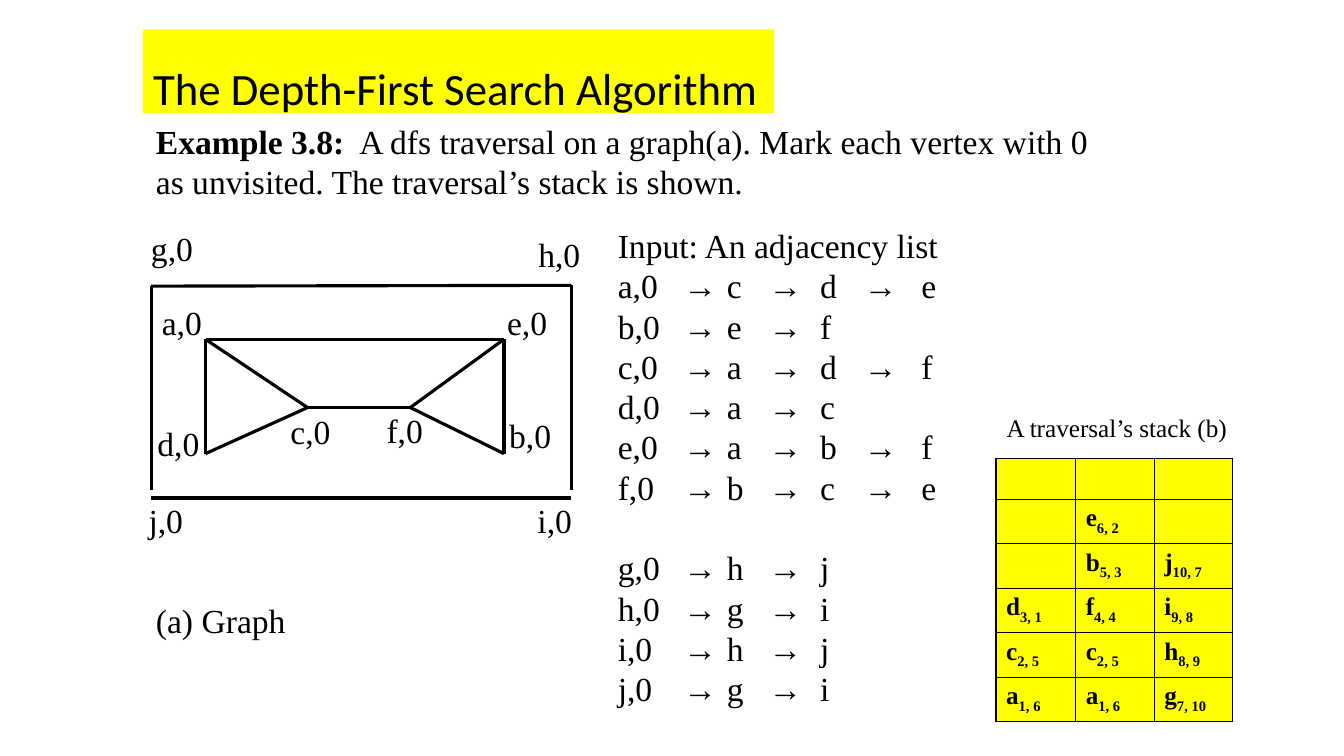
"""Build a slide that walks through a depth-first search traversal."""
from lxml.etree import SubElement
from pptx import Presentation
from pptx.dml.color import RGBColor
from pptx.enum.shapes import MSO_CONNECTOR as Connector, MSO_SHAPE as Preset
from pptx.enum.text import MSO_ANCHOR as Anchor, PP_ALIGN as Align
from pptx.oxml.ns import qn
from pptx.util import Cm, Pt

BLACK, YELLOW = "000000", "FFFF00"
SERIF = "Times New Roman"
BODY = {"name": SERIF, "size": Pt(24)}
SMALL = {"name": SERIF, "size": Pt(18)}
HEADING = {"name": "Calibri", "size": Pt(32)}
BOLD = {"bold": True}

TITLE = "The Depth-First Search Algorithm"
EXAMPLE = [
    ("Example 3.8:", BOLD),
    ("  A dfs traversal on a graph(a). Mark each vertex with 0 as unvisited. "
     "The traversal’s stack is shown.", {}),
]
GRAPH_CAPTION = "(a) Graph"
STACK_CAPTION = "A traversal’s stack (b)"
LIST_TITLE = "Input: An adjacency list"
COMPONENTS = [
    {"a": "cde", "b": "ef", "c": "adf", "d": "ac", "e": "abf", "f": "bce"},
    {"g": "hj", "h": "gi", "i": "hj", "j": "gi"},
]
STACK = [
    ["", "", ""],
    ["", "e6, 2", ""],
    ["", "b5, 3", "j10, 7"],
    ["d3, 1", "f4, 4", "i9, 8"],
    ["c2, 5", "c2, 5", "h8, 9"],
    ["a1, 6", "a1, 6", "g7, 10"],
]
POINTS = {
    "a": (5.18, 8.55), "b": (12.7, 11.43), "c": (7.75, 10.27),
    "d": (5.18, 11.43), "e": (12.7, 8.55), "f": (10.34, 10.27),
    "g": (3.81, 7.21), "h": (14.4, 7.19), "i": (14.4, 12.55),
    "j": (3.81, 12.55), "left end": (3.81, 12.34), "right end": (14.4, 12.34),
}
EDGES = [
    ("j", "i"), ("g", "h"), ("g", "left end"), ("h", "right end"),
    ("a", "e"), ("a", "d"), ("e", "b"), ("c", "f"),
    ("a", "c"), ("d", "c"), ("e", "f"), ("f", "b"),
]
LABELS = {
    "j": (3.38, 12.47, 1.6), "i": (13.28, 12.47, 1.4),
    "g": (3.51, 5.61, 1.65), "h": (13.28, 5.77, 1.63),
    "a": (3.81, 7.49, 1.55), "d": (3.68, 10.54, 1.63),
    "c": (7.01, 10.24, 1.63), "f": (9.45, 10.21, 1.5),
    "e": (12.5, 7.49, 1.57), "b": (12.52, 10.34, 1.68),
}
LABEL_HEIGHT = 1.27
LIST_TABS = [1.65, 2.75, 3.8, 5.1, 6.2, 7.65]
STACK_COLUMNS = [2.01, 1.98, 1.98]
STACK_ROW = 1.02


def color(value):
    return RGBColor.from_string(value)


def add_run(paragraph, text, *formats):
    run = paragraph.add_run()
    run.text = text
    run.font.color.rgb = color(BLACK)
    for values in formats:
        for name, value in values.items():
            setattr(run.font, name, value)
    return run


def add_text(slide, box, runs, style, align=Align.LEFT, wrap=True):
    frame = slide.shapes.add_textbox(*map(Cm, box)).text_frame
    frame.word_wrap = wrap
    paragraph = frame.paragraphs[0]
    paragraph.alignment = align
    for text, extra in runs:
        add_run(paragraph, text, style, extra)
    return frame


def add_title(slide):
    shape = slide.shapes.add_shape(Preset.RECTANGLE, *map(Cm, (3.61, 0.74, 15.9, 2.11)))
    shape.shadow.inherit = False
    shape.fill.solid()
    shape.fill.fore_color.rgb = color(YELLOW)
    shape.line.fill.background()
    frame = shape.text_frame
    frame.word_wrap = False
    frame.vertical_anchor = Anchor.TOP
    paragraph = frame.paragraphs[0]
    paragraph.alignment = Align.LEFT
    paragraph.line_spacing = 1.5
    add_run(paragraph, TITLE, HEADING)


def add_graph(slide):
    for start, end in EDGES:
        ends = map(Cm, POINTS[start] + POINTS[end])
        edge = slide.shapes.add_connector(Connector.STRAIGHT, *ends)
        edge.line.color.rgb = color(BLACK)
        edge.line.width = Pt(2.25)
        SubElement(edge._element.spPr, qn("a:effectLst"))
    for vertex, place in LABELS.items():
        add_text(slide, (*place, LABEL_HEIGHT), [(f"{vertex},0", {})], BODY, Align.CENTER)


def add_adjacency_list(slide):
    frame = add_text(slide, (15.32, 5.54, 10.69, 12.57), [(LIST_TITLE, {})], BODY)
    for index, component in enumerate(COMPONENTS):
        for row, (vertex, neighbors) in enumerate(component.items()):
            paragraph = frame.add_paragraph()
            if index and not row:
                paragraph.space_before = Pt(28.8)
            tabs = SubElement(paragraph._p.get_or_add_pPr(), qn("a:tabLst"))
            for position in LIST_TABS:
                SubElement(tabs, qn("a:tab"), pos=str(Cm(position)), algn="l")
            add_run(paragraph, "\t→\t".join([f"{vertex},0", *neighbors]), BODY)


def add_borders(cell):
    properties = cell._tc.get_or_add_tcPr()
    for index, side in enumerate(("a:lnL", "a:lnR", "a:lnT", "a:lnB")):
        border = properties.makeelement(qn(side), {"w": str(Pt(1))})
        properties.insert(index, border)
        fill = SubElement(border, qn("a:solidFill"))
        SubElement(fill, qn("a:srgbClr"), val=BLACK)


def add_stack(slide):
    size = sum(STACK_COLUMNS), STACK_ROW * len(STACK)
    table = slide.shapes.add_table(
        len(STACK), len(STACK_COLUMNS), *map(Cm, (25.1, 11.56, *size))).table
    for column, width in zip(table.columns, STACK_COLUMNS):
        column.width = Cm(width)
    for row, entries in enumerate(STACK):
        table.rows[row].height = Cm(STACK_ROW)
        for column, entry in enumerate(entries):
            cell = table.cell(row, column)
            cell.fill.solid()
            cell.fill.fore_color.rgb = color(YELLOW)
            add_borders(cell)
            if entry:
                paragraph = cell.text_frame.paragraphs[0]
                add_run(paragraph, entry[0], SMALL, BOLD)
                order = add_run(paragraph, entry[1:], SMALL, BOLD)
                order._r.get_or_add_rPr().set("baseline", "-25000")


def main():
    presentation = Presentation()
    presentation.slide_width, presentation.slide_height = Cm(33.87), Cm(19.05)
    slide = presentation.slides.add_slide(presentation.slide_layouts[6])
    add_text(slide, (3.68, 2.92, 24.54, 2.31), EXAMPLE, BODY)
    add_graph(slide)
    add_adjacency_list(slide)
    add_stack(slide)
    add_text(slide, (3.68, 14.99, 4.04, 1.27), [(GRAPH_CAPTION, {})], BODY, wrap=False)
    add_title(slide)
    add_text(slide, (25.12, 10.26, 6.27, 1.02), [(STACK_CAPTION, {})], SMALL, wrap=False)
    presentation.save("out.pptx")


if __name__ == "__main__":
    main()
